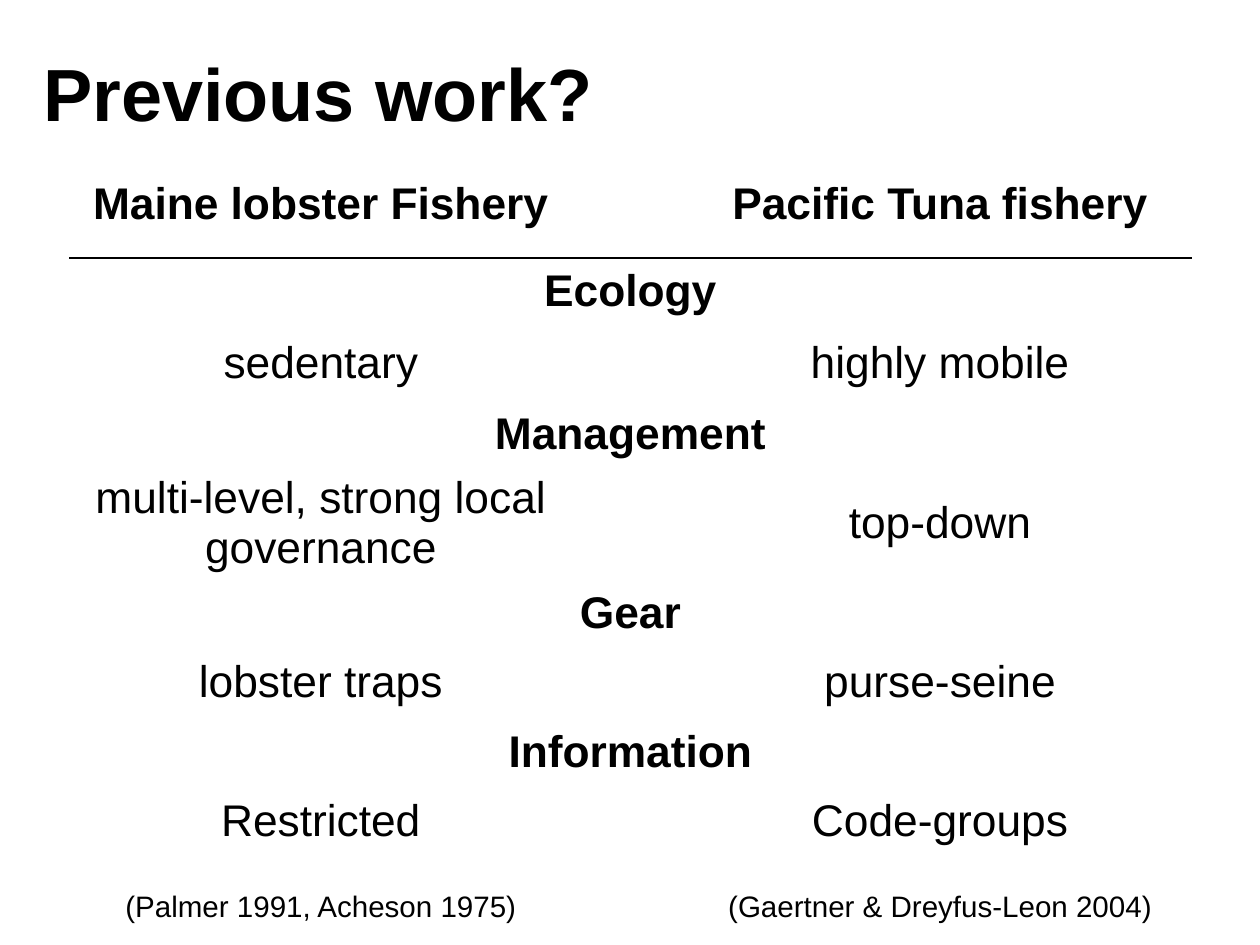
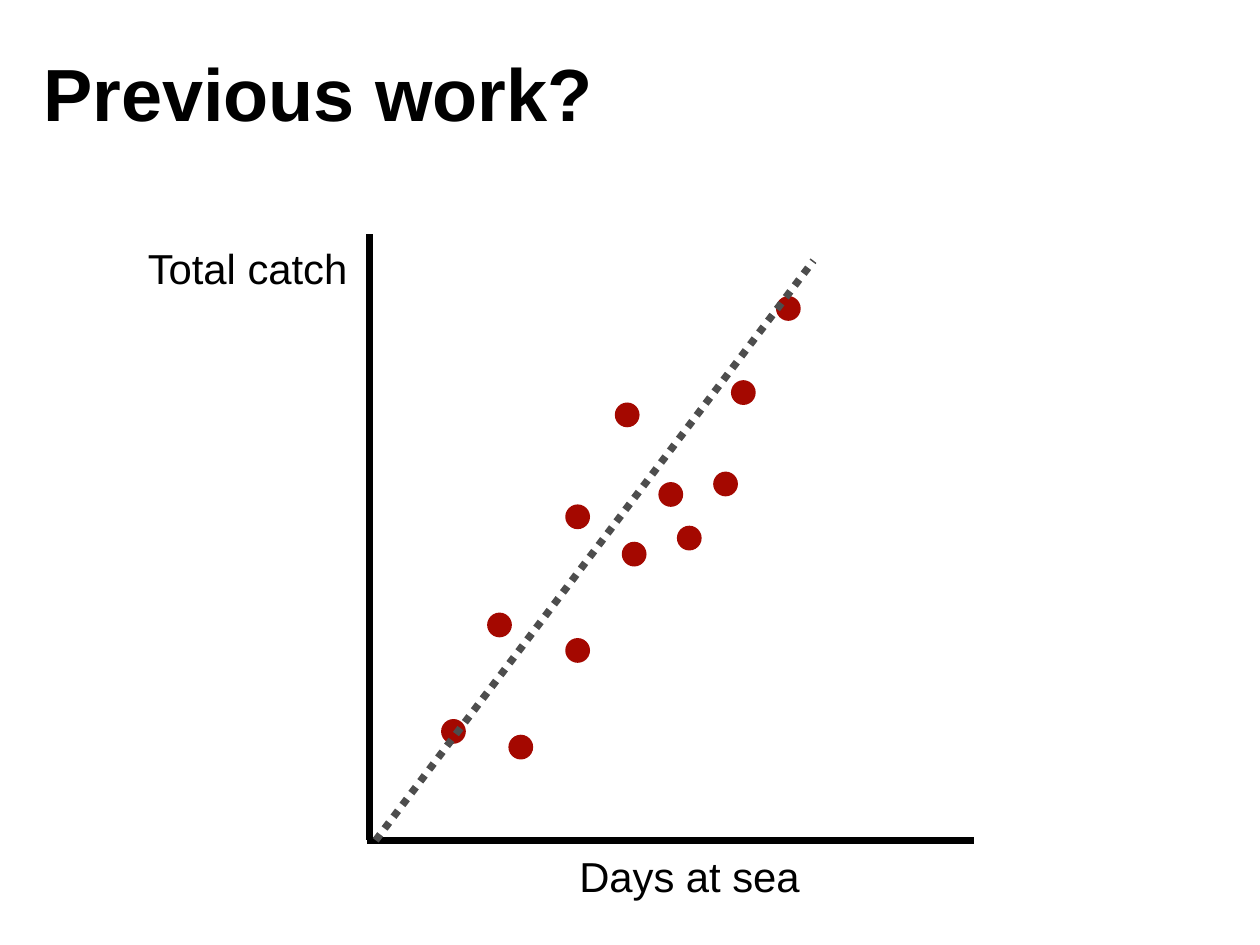
from lxml.etree import SubElement
from pptx import Presentation
from pptx.dml.color import RGBColor
from pptx.enum.dml import MSO_LINE
from pptx.enum.shapes import MSO_CONNECTOR, MSO_SHAPE
from pptx.enum.text import MSO_ANCHOR, PP_ALIGN
from pptx.oxml import parse_xml
from pptx.oxml.ns import nsdecls, qn
from pptx.util import Cm, Pt

FONT = "Arial"
INK = "000000"
DOT_RED = "A40800"
TREND_GREY = "4D4D4D"
NO_GRID_STYLE = "{2D5ABB26-0587-4C30-8999-92F81FD0307C}"

COLUMN_WIDTHS = (14.43, 3.32, 14.43)
HEADINGS = ("Maine lobster Fishery", "Pacific Tuna fishery")
# topic, its row height, the two fisheries, their row height
COMPARISONS = (
    ("Ecology", 1.88, ("sedentary", "highly mobile"), 2.26),
    ("Management", 1.8, ("multi-level, strong local governance", "top-down"), 3.33),
    ("Gear", 1.8, ("lobster traps", "purse-seine"), 2.18),
    ("Information", 1.85, ("Restricted", "Code-groups"), 2.08),
)
SOURCES = ("(Palmer 1991, Acheson 1975)", "(Gaertner & Dreyfus-Leon 2004)")

# centimetres right of and above the origin of the axes
CATCHES = (
    (5.97, 9.27), (7.59, 8.2), (3.73, 6.17), (4.34, 2.67),
    (10.21, 10.21), (2.41, 3.12), (7.39, 12.19), (10.72, 12.83),
    (8.64, 9.91), (9.17, 8.66), (5.97, 5.44), (12.01, 15.24),
)
DOT_SIZE = 0.71


def color(hex_code):
    return RGBColor.from_string(hex_code)


def write(frame, text, size, bold=False, align=PP_ALIGN.CENTER):
    frame.text = text
    paragraph = frame.paragraphs[0]
    paragraph.alignment = align
    for run in paragraph.runs:
        run.font.name = FONT
        run.font.size = Pt(size)
        run.font.bold = bold
        run.font.color.rgb = color(INK)


def add_label(slide, left, top, width, height, text, size, **style):
    label = slide.shapes.add_textbox(Cm(left), Cm(top), Cm(width), Cm(height))
    frame = label.text_frame
    frame.word_wrap = True
    frame.vertical_anchor = MSO_ANCHOR.MIDDLE
    frame.margin_left = frame.margin_right = 0
    frame.margin_top = frame.margin_bottom = 0
    write(frame, text, size, **style)


def add_title(slide, text):
    add_label(slide, 1.24, 1.23, 29.06, 2.79, text, 60,
              bold=True, align=PP_ALIGN.LEFT)


def add_line(slide, x1, y1, x2, y2, hex_code, dash=None):
    line = slide.shapes.add_connector(
        MSO_CONNECTOR.STRAIGHT, Cm(x1), Cm(y1), Cm(x2), Cm(y2))
    line.line.color.rgb = color(hex_code)
    line.line.width = Pt(6)
    if dash is not None:
        line.line.dash_style = dash
    SubElement(line._element.spPr, qn("a:effectLst"))


def add_dot(slide, center_x, center_y):
    dot = slide.shapes.add_shape(
        MSO_SHAPE.OVAL, Cm(center_x - DOT_SIZE / 2), Cm(center_y - DOT_SIZE / 2),
        Cm(DOT_SIZE), Cm(DOT_SIZE))
    dot.shadow.inherit = False
    dot.fill.solid()
    dot.fill.fore_color.rgb = color(DOT_RED)
    dot.line.fill.background()


def rule_below(cell):
    border = parse_xml(
        f'<a:lnB {nsdecls("a")} w="{Pt(2.5)}"><a:solidFill>'
        f'<a:srgbClr val="{INK}"/></a:solidFill></a:lnB>')
    cell._tc.get_or_add_tcPr().insert(0, border)


def add_comparison_table(slide, left, top):
    rows = [(HEADINGS, 3.07, 36, True)]
    for topic, topic_height, fisheries, fisheries_height in COMPARISONS:
        rows.append(((topic,), topic_height, 36, True))
        rows.append((fisheries, fisheries_height, 36, False))
    rows.append((SOURCES, 2.03, 24, False))

    table = slide.shapes.add_table(
        len(rows), len(COLUMN_WIDTHS), Cm(left), Cm(top),
        Cm(sum(COLUMN_WIDTHS)), Cm(sum(row[1] for row in rows))).table
    table.first_row = table.horz_banding = False
    table._tbl.tblPr.find(qn("a:tableStyleId")).text = NO_GRID_STYLE
    for column, width in zip(table.columns, COLUMN_WIDTHS):
        column.width = Cm(width)

    for row, (texts, height, size, bold) in zip(table.rows, rows):
        row.height = Cm(height)
        cells = list(row.cells)
        for cell in cells:
            cell.fill.background()
            cell.margin_left = cell.margin_right = Cm(0.15)
            cell.margin_top = cell.margin_bottom = Cm(0.13)
            cell.vertical_anchor = (
                MSO_ANCHOR.BOTTOM if texts is SOURCES else MSO_ANCHOR.MIDDLE)
            if texts is HEADINGS:
                rule_below(cell)
        if len(texts) == 1:
            cells[0].merge(cells[-1])
        for cell, text in zip(cells[::2], texts):
            write(cell.text_frame, text, size, bold)


def add_catch_plot(slide, left, top, width, height):
    bottom = top + height
    add_line(slide, left, top, left, bottom, INK)
    add_line(slide, left - 0.08, bottom, left + width, bottom, INK)
    for days, catch in CATCHES:
        add_dot(slide, left + days, bottom - catch)
    add_line(slide, left + 0.18, bottom, left + 12.73, bottom - 16.61,
             TREND_GREY, MSO_LINE.ROUND_DOT)
    add_label(slide, left - 6.55, top + 0.15, 6.12, 1.63, "Total catch", 34)
    add_label(slide, left + 5.74, bottom + 0.2, 6.88, 1.63, "Days at sea", 34)


def main():
    deck = Presentation()
    deck.slide_width, deck.slide_height = Cm(36.12), Cm(27.08)
    blank = deck.slide_layouts[6]

    comparison = deck.slides.add_slide(blank)
    add_comparison_table(comparison, 1.98, 4.32)
    add_title(comparison, "Previous work?")

    catch = deck.slides.add_slide(blank)
    add_catch_plot(catch, 10.59, 6.71, 17.32, 17.37)
    add_title(catch, "Previous work?")

    deck.save("out.pptx")


if __name__ == "__main__":
    main()
